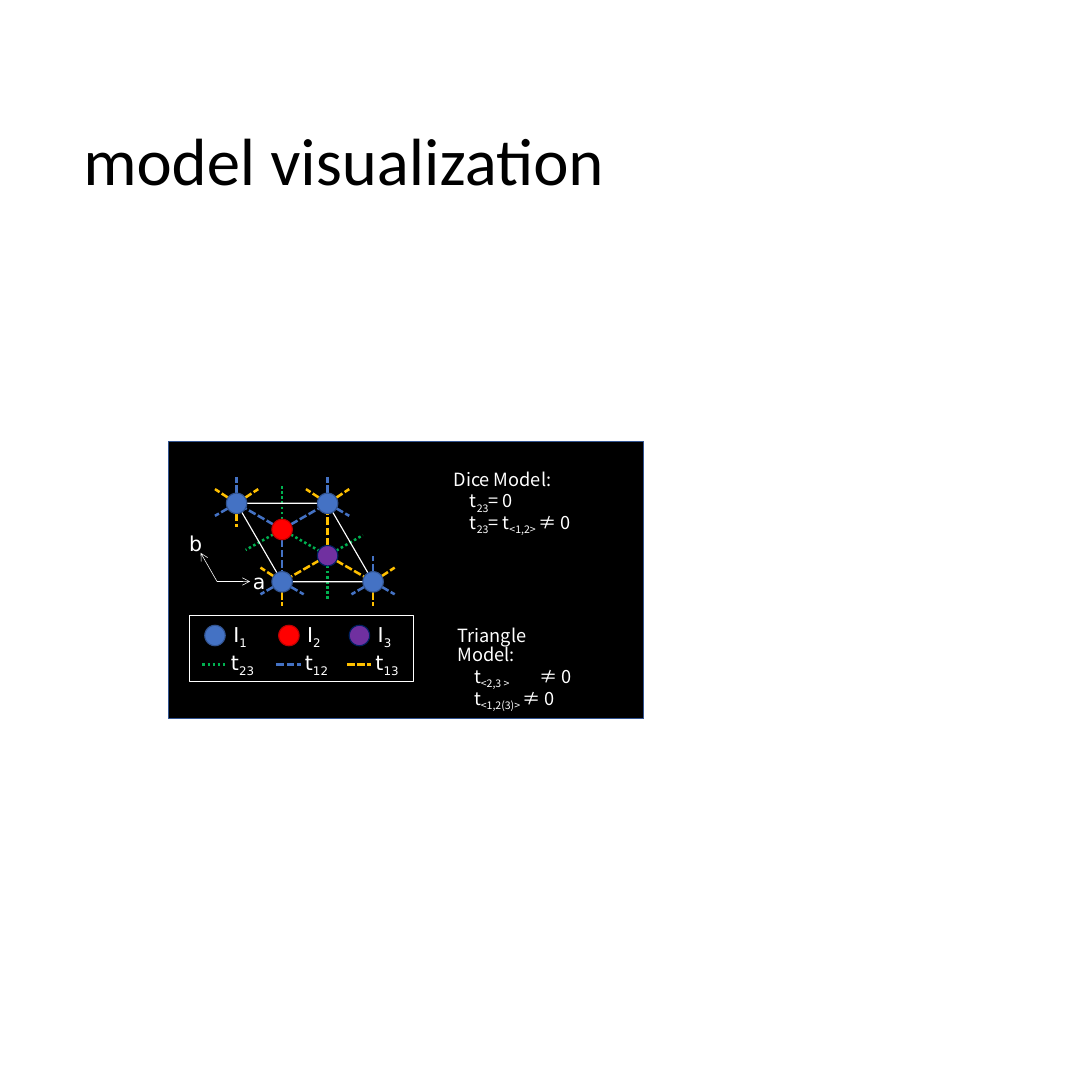
"""Build the slide that shows the lattice model and its hopping terms."""
from lxml import etree
from pptx import Presentation
from pptx.dml.color import RGBColor
from pptx.enum.dml import MSO_LINE
from pptx.enum.shapes import MSO_CONNECTOR, MSO_SHAPE
from pptx.enum.text import MSO_ANCHOR, MSO_AUTO_SIZE, PP_ALIGN
from pptx.oxml.ns import qn
from pptx.util import Pt

DASH, DOT = MSO_LINE.SQUARE_DOT, MSO_LINE.ROUND_DOT
RECT, OVAL, SLANT = MSO_SHAPE.RECTANGLE, MSO_SHAPE.OVAL, MSO_SHAPE.PARALLELOGRAM
STRAIGHT = MSO_CONNECTOR.STRAIGHT
SANS, CJK = "DejaVu Sans", "Noto Sans CJK TC"
BLACK, WHITE = "000000", "FFFFFF"
BLUE, GOLD, GREEN = "4472C4", "FFC000", "00B050"
EDGE = "325491"

TITLE = "model visualization"
ATOMS = {"I1": (BLUE, EDGE), "I2": ("FF0000", "C00000"), "I3": ("7030A0", "002060")}
LEGEND = [
    (180, "I1", "I_1", GREEN, DOT, "t_23"),
    (245, "I2", "I_2", BLUE, DASH, "t_12"),
    (307, "I3", "I_3", GOLD, DASH, "t_13"),
]
AXES = [("a", (29, 0), (215.3, 496.8)), ("b", (-14.4, -25.2), (159.1, 463.7))]
NOTES = [
    ((391.7, 410.4, 129, 65.5), ["Dice Model:", "t_23_= 0", "t_23_= t_<1,2> _≠ 0"]),
    ((395.3, 547.9, 126, 65.5),
     ["Triangle Model:", "t_<2,3 >_\t≠ 0", "t_<1,2(3)> _≠ 0"]),
]

LEFT, TOP, CELL, SKEW, RISE = 208, 442.5, 80, 40, 69
SIZE = 18
SITES = {
    "A": (LEFT, TOP), "B": (LEFT + CELL, TOP),
    "C": (LEFT + SKEW, TOP + RISE), "D": (LEFT + SKEW + CELL, TOP + RISE),
    "I2": (LEFT + SKEW, TOP + RISE / 3), "I3": (LEFT + CELL, TOP + RISE * 2 / 3),
}
BONDS = [
    ("I3", "BCD", GOLD, DASH),
    ("I2", ["I3"], GREEN, DOT),
    ("I2", "ABC", BLUE, DASH),
]
UP, DOWN = (0, -23), (0, 21)
NW, NE, SW, SE = (-19, -12.5), (19, -12.5), (-19, 11), (19, 11)
STUBS = [
    ("A", GOLD, DASH, [NW, NE, DOWN]), ("A", BLUE, DASH, [UP, SW]),
    ("B", GOLD, DASH, [NW, NE]), ("B", BLUE, DASH, [UP, SE]),
    ("C", GOLD, DASH, [NW, DOWN]), ("C", BLUE, DASH, [SW, SE]),
    ("D", GOLD, DASH, [NE, DOWN]), ("D", BLUE, DASH, [UP, SW, SE]),
    ("I2", GREEN, DOT, [(0, -38), (-32, 18)]),
    ("I3", GREEN, DOT, [(0, 38), (31, -18)]),
]


def color(text):
    return RGBColor.from_string(text)


def style(font, **vals):
    for key, val in vals.items():
        setattr(font, key, val)


def shape(slide, kind, box, fill, edge):
    item = slide.shapes.add_shape(kind, *map(Pt, box))
    item.shadow.inherit = False
    if fill:
        item.fill.solid()
        item.fill.fore_color.rgb = color(fill)
    else:
        item.fill.background()
    item.line.color.rgb = color(edge)
    item.line.width = Pt(1)
    return item


def atom(slide, x, y, name):
    shape(slide, OVAL, (x - SIZE / 2, y - SIZE / 2, SIZE, SIZE), *ATOMS[name])


def line(slide, start, move, tint, dash=None, width=2.25):
    x, y = start
    item = slide.shapes.add_connector(
        STRAIGHT, Pt(x), Pt(y), Pt(x + move[0]), Pt(y + move[1]))
    item.line.color.rgb = color(tint)
    item.line.width = Pt(width)
    if dash:
        item.line.dash_style = dash
    else:
        etree.SubElement(item.line._ln, qn("a:tailEnd"), type="arrow")
    etree.SubElement(item._element.spPr, qn("a:effectLst"))


def write(para, text, name, size):
    for i, part in enumerate(text.split("_")):
        run = para.add_run()
        run.text = part
        style(run.font, name=name, size=Pt(size))
        run.font.color.rgb = color(WHITE)
        if i % 2:
            run.font._element.set("baseline", "-25000")


def label(slide, x, y, text):
    frame = slide.shapes.add_textbox(Pt(x), Pt(y), Pt(37), Pt(29)).text_frame
    frame.word_wrap = False
    write(frame.paragraphs[0], text, SANS, 18)


def note(slide, box, rows):
    frame = slide.shapes.add_textbox(*map(Pt, box)).text_frame
    frame.word_wrap = True
    for i, text in enumerate(rows):
        para = frame.add_paragraph() if i else frame.paragraphs[0]
        para.line_spacing = 0.88
        if i:
            props = para._p.get_or_add_pPr()
            props.set("indent", str(Pt(14.4)))
            if "\t" in text:
                tabs = etree.SubElement(props, qn("a:tabLst"))
                etree.SubElement(tabs, qn("a:tab"), pos=str(Pt(57)), algn="l")
        write(para, text, CJK, 16)


def head(slide):
    title = slide.shapes.title
    box = {"left": 66, "top": 51, "width": 828, "height": 186}
    style(title, **{key: Pt(val) for key, val in box.items()})
    frame = title.text_frame
    frame.text = TITLE
    style(frame, vertical_anchor=MSO_ANCHOR.MIDDLE, auto_size=MSO_AUTO_SIZE.NONE,
          word_wrap=True)
    para = frame.paragraphs[0]
    style(para, alignment=PP_ALIGN.LEFT, line_spacing=0.9)
    style(para.font, name="Calibri", size=Pt(58.7))
    para.font.color.rgb = color(BLACK)


def lattice(slide):
    for name, tint, dash, moves in STUBS:
        for move in moves:
            line(slide, SITES[name], move, tint, dash)
    for name, ends, tint, dash in BONDS:
        x, y = SITES[name]
        for end in ends:
            line(slide, (x, y), (SITES[end][0] - x, SITES[end][1] - y), tint, dash)
    cell = shape(slide, SLANT, (LEFT, TOP, CELL + SKEW, RISE), None, WHITE)
    cell.adjustments[0] = SKEW / RISE
    cell._element.spPr.xfrm.set("flipV", "1")
    for name, (x, y) in SITES.items():
        atom(slide, x, y, name if name in ATOMS else "I1")
    for text, move, spot in AXES:
        line(slide, (190.8, 511.2), move, WHITE, width=0.5)
        label(slide, *spot, text)


def legend(slide):
    shape(slide, RECT, (167, 541.4, 196.6, 57.6), BLACK, WHITE)
    for x, name, site, tint, dash, hop in LEGEND:
        atom(slide, x + SIZE / 2, 558.7, name)
        label(slide, x + 18, 543.6, site)
        line(slide, (x - 2, 584), (21.6, 0), tint, dash)
        label(slide, x + 16, 567.6, hop)


def main():
    deck = Presentation()
    deck.slide_width = deck.slide_height = Pt(960)
    slide = deck.slides.add_slide(deck.slide_layouts[5])
    head(slide)
    shape(slide, RECT, (148.3, 388, 417.6, 244), BLACK, EDGE)
    lattice(slide)
    legend(slide)
    for box, rows in NOTES:
        note(slide, box, rows)
    deck.save("out.pptx")


if __name__ == "__main__":
    main()
